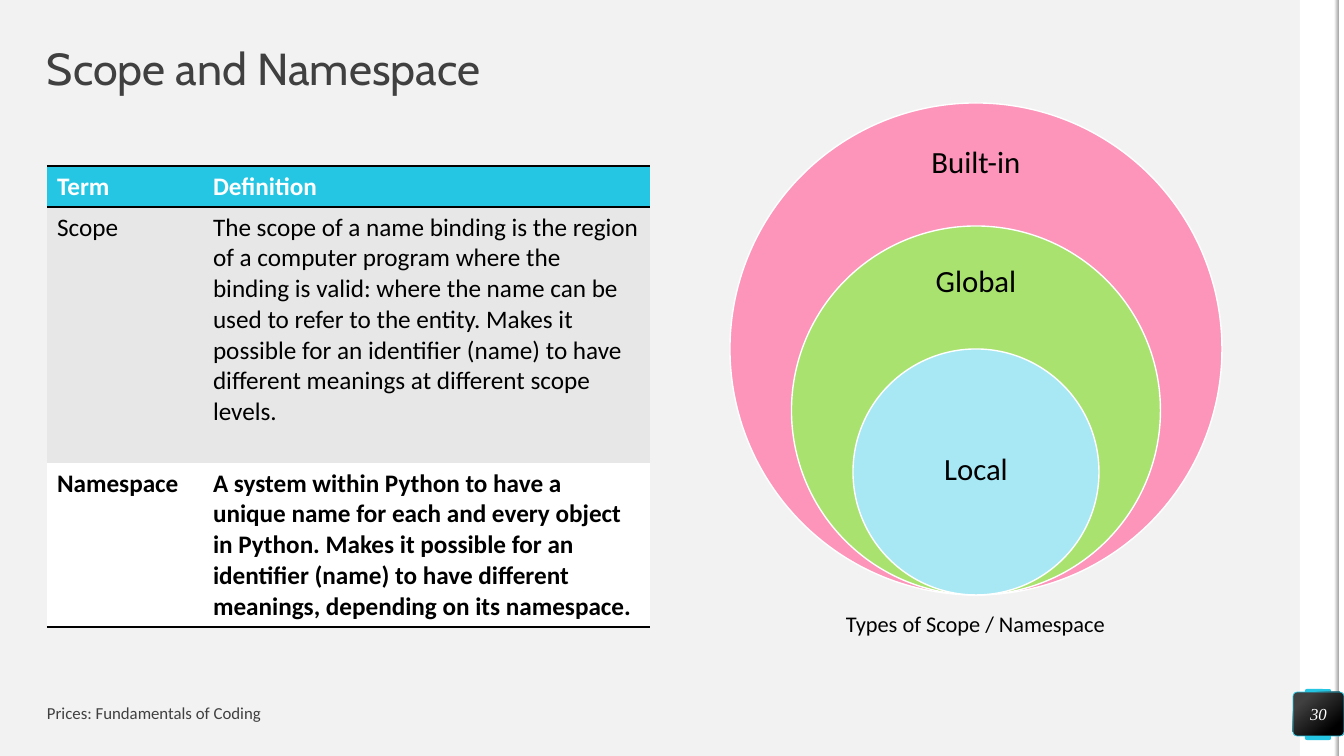
"""Build the Scope and Namespace slide."""
import dataclasses

import lxml.etree
import pptx
import pptx.dml.color
import pptx.enum.shapes
import pptx.enum.text
import pptx.oxml.ns
import pptx.util

EMU_PER_PX = 914400 / 100.8
SHAPE = pptx.enum.shapes.MSO_SHAPE
ALIGN = pptx.enum.text.PP_ALIGN
MIDDLE = pptx.enum.text.MSO_ANCHOR.MIDDLE


@dataclasses.dataclass(frozen=True)
class Theme:
    """Colours, fonts and type sizes of the slide."""
    background: str = "F2F2F2"
    white: str = "FFFFFF"
    black: str = "000000"
    grey: str = "404040"
    edge_grey: str = "A6A6A6"
    accent: str = "25C6E3"
    band: str = "E7E7E7"
    built_in: str = "FD94B9"
    global_scope: str = "A9E26F"
    local: str = "A8E8F4"
    heading_font: str = "Cabin"
    body_font: str = "Calibri"
    number_font: str = "Times New Roman"
    title_size: int = 32
    label_size: int = 22
    table_size: int = 18
    caption_size: int = 16
    small_size: int = 12


THEME = Theme()
DEFINITIONS = [
    ("Term", "Definition"),
    ("Scope", "The scope of a name binding is the region of a computer program where the "
     "binding is valid: where the name can be used to refer to the entity. Makes it possible "
     "for an identifier (name) to have different meanings at different scope levels."),
    ("Namespace", "A system within Python to have a unique name for each and every object in "
     "Python. Makes it possible for an identifier (name) to have different meanings, "
     "depending on its namespace."),
]
ROW_STYLES = [
    (41, THEME.accent, THEME.white, True, ("T", "B")),
    (256, THEME.band, THEME.black, False, ("T",)),
    (164, THEME.white, THEME.black, True, ("B",)),
]
SCOPES = [
    ("Built-in", 492, THEME.built_in, (127, 74)),
    ("Global", 369, THEME.global_scope, (248, 70)),
    ("Local", 246, THEME.local, (409, 123)),
]


def px(length):
    """Turn pixels into EMU."""
    return pptx.util.Emu(round(length * EMU_PER_PX))


def rgb(code):
    """Turn a hex code into a colour."""
    return pptx.dml.color.RGBColor.from_string(code)


def apply_format(target, values):
    """Set each attribute of the target from a dict."""
    for name, value in values.items():
        setattr(target, name, value)


def paint(fill, color):
    """Give a fill one solid colour."""
    fill.solid()
    fill.fore_color.rgb = rgb(color)


def shade(fill, stops, angle):
    """Give a fill a linear gradient of two stops."""
    fill.gradient()
    fill.gradient_angle = angle
    for stop, (position, color) in zip(fill.gradient_stops, stops):
        stop.position = position
        stop.color.rgb = rgb(color)


def write(frame, text, size, color, font=THEME.body_font, align=ALIGN.LEFT, spacing=1.0,
          bold=False, italic=False):
    """Write one formatted paragraph into a text frame."""
    frame.text = text
    paragraph = frame.paragraphs[0]
    apply_format(paragraph, {"alignment": align, "line_spacing": spacing})
    apply_format(paragraph.runs[0].font, {"size": pptx.util.Pt(size), "name": font,
                                          "bold": bold, "italic": italic})
    paragraph.runs[0].font.color.rgb = rgb(color)


def set_frame(frame, margin):
    """Wrap and centre a frame vertically with equal margins."""
    sides = ("margin_left", "margin_top", "margin_right", "margin_bottom")
    apply_format(frame, {"word_wrap": True, "vertical_anchor": MIDDLE,
                         "auto_size": pptx.enum.text.MSO_AUTO_SIZE.NONE,
                         **dict.fromkeys(sides, px(margin))})


def add_shape(slide, kind, box, color=None, line=None, line_width=1, corner=None):
    """Add a preset shape without a shadow."""
    shape = slide.shapes.add_shape(kind, *map(px, box))
    shape.shadow.inherit = False
    if color:
        paint(shape.fill, color)
    if line:
        shape.line.color.rgb = rgb(line)
        shape.line.width = pptx.util.Pt(line_width)
    else:
        shape.line.fill.background()
    if corner is not None:
        shape.adjustments[0] = corner
    return shape


def add_text(slide, box, text, size, color, margin=0, **style):
    """Add a text box with one paragraph."""
    frame = slide.shapes.add_textbox(*map(px, box)).text_frame
    set_frame(frame, margin)
    write(frame, text, size, color, **style)


def add_title(slide, text):
    """Place and fill the title placeholder."""
    title = slide.shapes.title
    apply_format(title, dict(zip(("left", "top", "width", "height"), map(px, (47, 47, 603, 47)))))
    set_frame(title.text_frame, 0)
    write(title.text_frame, text, THEME.title_size, THEME.grey, THEME.heading_font, spacing=0.9)


def set_borders(cell, ruled_edges):
    """Rule the given cell edges in black and clear the others."""
    properties = cell._tc.get_or_add_tcPr()
    qualify = pptx.oxml.ns.qn
    for edge in "LRTB":
        line = lxml.etree.SubElement(properties, qualify("a:ln" + edge), w="25400")
        if edge in ruled_edges:
            solid = lxml.etree.SubElement(line, qualify("a:solidFill"))
            lxml.etree.SubElement(solid, qualify("a:srgbClr"), val=THEME.black)
        else:
            lxml.etree.SubElement(line, qualify("a:noFill"))


def add_definitions(slide):
    """Add the table of terms."""
    height = sum(style[0] for style in ROW_STYLES)
    table = slide.shapes.add_table(3, 2, *map(px, (47, 166, 603, height))).table
    for column, width in zip(table.columns, (156, 447)):
        column.width = px(width)
    for row, texts, style in zip(table.rows, DEFINITIONS, ROW_STYLES):
        row_height, fill, color, bold, edges = style
        row.height = px(row_height)
        for cell, text in zip(row.cells, texts):
            set_borders(cell, edges)
            paint(cell.fill, fill)
            write(cell.text_frame, text, THEME.table_size, color, bold=bold)


def add_scopes(slide, center=976, bottom=595, label_width=172):
    """Add nested circles that share their lowest point."""
    for text, diameter, color, (top, height) in SCOPES:
        add_shape(slide, SHAPE.OVAL, (center - diameter / 2, bottom - diameter, diameter, diameter),
                  color, line=THEME.white)
        add_text(slide, (center - label_width / 2, top, label_width, height), text,
                 THEME.label_size, THEME.black, margin=17, align=ALIGN.CENTER, spacing=0.9)


def add_side_band(slide):
    """Add the white band at the right edge."""
    add_shape(slide, SHAPE.RECTANGLE, (1300, 0, 39, 756), THEME.white)
    add_shape(slide, SHAPE.ROUNDED_RECTANGLE, (1305, 689, 26, 51), THEME.accent, corner=0.07)
    add_shape(slide, SHAPE.RECTANGLE, (1339, 0, 5, 756), THEME.white)
    edge = add_shape(slide, SHAPE.RECTANGLE, (1334, 0, 5, 756))
    shade(edge.fill, ((0, THEME.white), (1, THEME.edge_grey)), 0)


def add_page_number(slide, number):
    """Add the page number badge."""
    badge = add_shape(slide, SHAPE.ROUNDED_RECTANGLE, (1293, 692, 51, 44),
                      line=THEME.accent, line_width=0.5, corner=0.1)
    shade(badge.fill, ((0.2, THEME.grey), (0.82, THEME.black)), 310)
    set_frame(badge.text_frame, 0)
    write(badge.text_frame, number, THEME.small_size, THEME.white, THEME.number_font,
          ALIGN.CENTER, italic=True)


def main():
    """Build and save the presentation."""
    presentation = pptx.Presentation()
    apply_format(presentation, {"slide_width": px(1344), "slide_height": px(756)})
    slide = presentation.slides.add_slide(presentation.slide_layouts[5])
    paint(slide.background.fill, THEME.background)
    add_side_band(slide)
    add_title(slide, "Scope and Namespace")
    add_definitions(slide)
    add_text(slide, (47, 702, 605, 22), "Prices: Fundamentals of Coding",
             THEME.small_size, THEME.grey)
    add_page_number(slide, "30")
    add_scopes(slide)
    add_text(slide, (766, 605, 419, 37), "Types of Scope / Namespace",
             THEME.caption_size, THEME.black, margin=5, align=ALIGN.CENTER)
    presentation.save("out.pptx")


if __name__ == "__main__":
    main()
